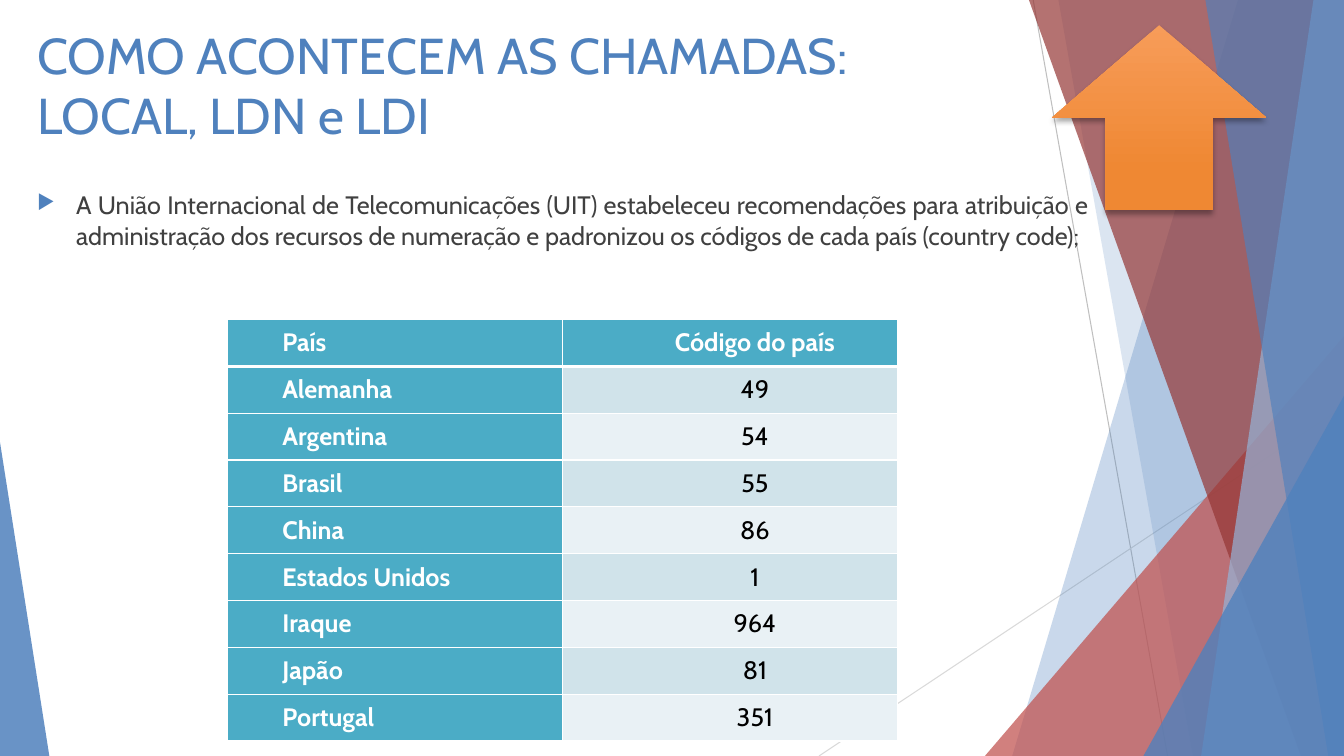
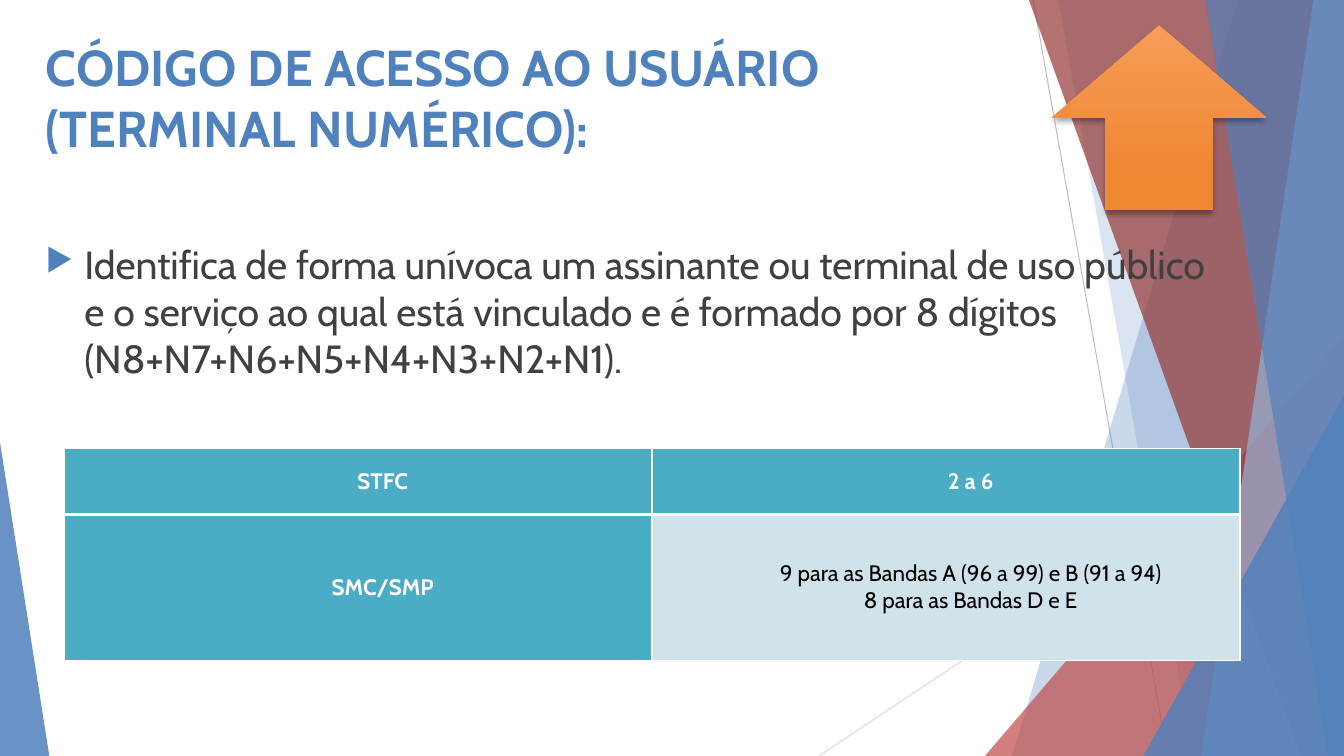
"""Build two slides on telephone country codes and user access codes."""
from dataclasses import dataclass
from typing import Optional

from lxml.etree import SubElement
from pptx import Presentation
from pptx.dml.color import RGBColor
from pptx.enum.shapes import MSO_CONNECTOR as Connector
from pptx.enum.shapes import MSO_SHAPE as Preset
from pptx.enum.text import MSO_ANCHOR as Anchor
from pptx.enum.text import MSO_AUTO_SIZE as AutoSize
from pptx.enum.text import PP_ALIGN as Align
from pptx.oxml.ns import qn
from pptx.slide import Slide
from pptx.util import Pt

PX = 9525
WIDTH, HEIGHT = 1280, 720
FONT = "Cabin"
BLUE, RED, DARK_RED, PALE_BLUE = "4F81BD", "C0504D", "953735", "95B3D7"
TEAL, WHITE, BLACK, TEXT_GREY = "4BACC6", "FFFFFF", "000000", "404040"
STRIPES = ("E9F1F5", "D0E3EA")
CELL_INDENT, CELL_MARGIN = 47, 5
BULLET_INDENT = 37
TITLE_WIDTH, TITLE_HEIGHT = 966, 158


@dataclass(frozen=True)
class Box:
    left: int
    top: int
    width: int
    height: int

    def emu(self) -> tuple[int, int, int, int]:
        return px(self.left), px(self.top), px(self.width), px(self.height)


@dataclass(frozen=True)
class Ray:
    start: tuple[int, int]
    end: tuple[int, int]
    color: str


@dataclass(frozen=True)
class Band:
    top_left: int
    bottom_left: int
    color: str
    opacity: int


@dataclass(frozen=True)
class Wedge:
    box: Box
    apex: float
    color: str
    opacity: int


@dataclass(frozen=True)
class Grid:
    box: Box
    header_height: int
    size: int
    label_align: Align
    rows: tuple[tuple[str, str], ...]


@dataclass(frozen=True)
class Page:
    title: str
    title_at: tuple[int, int]
    title_bold: bool
    body: str
    body_box: Box
    body_size: int
    body_align: Optional[Align]
    grid: Grid


RAYS = (
    Ray((984, 0), (1112, HEIGHT), "BFBFBF"),
    Ray((WIDTH, 387), (780, HEIGHT), "D9D9D9"),
)
FACETS = (
    Band(1179, 964, BLUE, 30),
    Band(1008, 1136, BLUE, 20),
    Wedge(Box(938, 320, 342, 400), 1, RED, 72),
    Band(980, 1239, DARK_RED, 70),
    Band(1251, 1144, PALE_BLUE, 70),
    Band(1148, 1265, BLUE, 65),
    Wedge(Box(1089, 377, 191, 343), 1, BLUE, 80),
    Wedge(Box(0, 421, 47, 299), 0, BLUE, 85),
)
ARROW = Box(1002, 24, 204, 176)

PAGES = (
    Page(
        "COMO ACONTECEM AS CHAMADAS:\nLOCAL, LDN e LDI", (26, 18), False,
        "A União Internacional de Telecomunicações (UIT) estabeleceu recomendações para "
        "atribuição e administração dos recursos de numeração e padronizou os códigos de "
        "cada país (country code);",
        Box(26, 176, 1020, 100), 18, Align.JUSTIFY,
        Grid(Box(217, 304, 638, 402), 45, 18, Align.LEFT, (
            ("País", "Código do país"),
            ("Alemanha", "49"),
            ("Argentina", "54"),
            ("Brasil", "55"),
            ("China", "86"),
            ("Estados Unidos", "1"),
            ("Iraque", "964"),
            ("Japão", "81"),
            ("Portugal", "351"),
        )),
    ),
    Page(
        "CÓDIGO DE ACESSO AO USUÁRIO (TERMINAL NUMÉRICO):", (34, 30), True,
        "Identifica de forma unívoca um assinante ou terminal de uso público e o serviço "
        "ao qual está vinculado e é formado por 8 dígitos (N8+N7+N6+N5+N4+N3+N2+N1).",
        Box(34, 224, 1137, 150), 28, None,
        Grid(Box(61, 427, 1120, 202), 63, 16, Align.CENTER, (
            ("STFC", "2 a 6"),
            ("SMC/SMP", "9 para as Bandas A (96 a 99) e B (91 a 94)\n8 para as Bandas D e E"),
        )),
    ),
)


def px(length: int) -> int:
    return length * PX


def rgb(color: str) -> RGBColor:
    return RGBColor.from_string(color)


def add_text(paragraph, text: str, size: int, color: str, bold: bool = False) -> None:
    run = paragraph.add_run()
    run.text = text
    run.font.name = FONT
    run.font.size = Pt(size)
    run.font.bold = bold
    run.font.color.rgb = rgb(color)


def paint(shape, color: str, opacity: int) -> None:
    shape.shadow.inherit = False
    shape.line.fill.background()
    shape.fill.solid()
    shape.fill.fore_color.rgb = rgb(color)
    color_element = shape.element.spPr.find(qn("a:solidFill"))[0]
    SubElement(color_element, qn("a:alpha"), val=str(opacity * 1000))


def add_ray(slide: Slide, ray: Ray):
    points = [px(value) for value in ray.start + ray.end]
    connector = slide.shapes.add_connector(Connector.STRAIGHT, *points)
    connector.line.color.rgb = rgb(ray.color)
    connector.line.width = Pt(0.75)
    SubElement(connector.element.spPr, qn("a:effectLst"))
    return connector


def add_facet(slide: Slide, facet: Band | Wedge):
    if isinstance(facet, Wedge):
        shape = slide.shapes.add_shape(Preset.ISOSCELES_TRIANGLE, *facet.box.emu())
        shape.adjustments[0] = facet.apex
    else:
        builder = slide.shapes.build_freeform(facet.top_left, 0, scale=PX)
        builder.add_line_segments(
            [(WIDTH, 0), (WIDTH, HEIGHT), (facet.bottom_left, HEIGHT)], close=True)
        shape = builder.convert_to_shape()
    paint(shape, facet.color, facet.opacity)
    return shape


def move_backdrop_to_layout(slide: Slide) -> None:
    backdrop = [add_ray(slide, ray) for ray in RAYS]
    backdrop += [add_facet(slide, facet) for facet in FACETS]
    layout_tree = slide.slide_layout.shapes.element
    for position, shape in enumerate(backdrop, start=2):
        layout_tree.insert(position, shape.element)


def add_title(slide: Slide, page: Page) -> None:
    title = slide.shapes.title
    title.left, title.top, title.width, title.height = Box(
        *page.title_at, TITLE_WIDTH, TITLE_HEIGHT).emu()
    frame = title.text_frame
    frame.word_wrap = True
    frame.auto_size = AutoSize.NONE
    frame.vertical_anchor = Anchor.TOP
    paragraph = frame.paragraphs[0]
    paragraph.alignment = Align.LEFT
    for number, line in enumerate(page.title.split("\n")):
        if number:
            paragraph.add_line_break()
        add_text(paragraph, line, 36, BLUE, page.title_bold)


def add_body(slide: Slide, page: Page) -> None:
    frame = slide.shapes.add_textbox(*page.body_box.emu()).text_frame
    frame.word_wrap = True
    paragraph = frame.paragraphs[0]
    paragraph.alignment = page.body_align
    properties = paragraph._p.get_or_add_pPr()
    properties.set("marL", str(px(BULLET_INDENT)))
    properties.set("indent", str(-px(BULLET_INDENT)))
    bullet_color = SubElement(properties, qn("a:buClr"))
    SubElement(bullet_color, qn("a:srgbClr"), val=BLUE)
    SubElement(properties, qn("a:buSzPct"), val="80000")
    SubElement(properties, qn("a:buChar"), char="▶")
    add_text(paragraph, page.body, page.body_size, TEXT_GREY)


def add_borders(cell, row: int) -> None:
    properties = cell._tc.get_or_add_tcPr()
    widths = {"lnL": 1, "lnR": 1, "lnT": 3 if row == 1 else 1, "lnB": 3 if row == 0 else 1}
    for side, width in widths.items():
        border = SubElement(properties, qn(f"a:{side}"), w=str(Pt(width)))
        fill = SubElement(border, qn("a:solidFill"))
        SubElement(fill, qn("a:srgbClr"), val=WHITE)


def fill_cell(cell, text: str, row: int, column: int, grid: Grid) -> None:
    heading = row == 0 or column == 0
    add_borders(cell, row)
    cell.fill.solid()
    cell.fill.fore_color.rgb = rgb(TEAL if heading else STRIPES[row % 2])
    cell.vertical_anchor = Anchor.MIDDLE
    cell.margin_left = cell.margin_right = px(CELL_MARGIN)
    cell.margin_top = cell.margin_bottom = px(CELL_MARGIN)
    frame = cell.text_frame
    for number, line in enumerate(text.split("\n")):
        paragraph = frame.add_paragraph() if number else frame.paragraphs[0]
        paragraph.alignment = Align.CENTER if column else grid.label_align
        properties = paragraph._p.get_or_add_pPr()
        properties.set("marL", "0")
        properties.set("indent", str(px(CELL_INDENT)))
        add_text(paragraph, line, grid.size, WHITE if heading else BLACK, heading)


def add_grid(slide: Slide, grid: Grid) -> None:
    row_count = len(grid.rows)
    table = slide.shapes.add_table(row_count, 2, *grid.box.emu()).table
    table.horz_banding = False
    row_height = px(grid.box.height - grid.header_height) // (row_count - 1)
    for row, texts in enumerate(grid.rows):
        table.rows[row].height = row_height if row else px(grid.header_height)
        for column, text in enumerate(texts):
            fill_cell(table.cell(row, column), text, row, column, grid)


def add_up_arrow(slide: Slide) -> None:
    arrow = slide.shapes.add_shape(Preset.UP_ARROW, *ARROW.emu())
    arrow.line.fill.background()
    arrow.fill.gradient()
    arrow.fill.gradient_angle = 270
    for stop, color, position in zip(
            arrow.fill.gradient_stops, ("F79C59", "EF8833"), (0, 0.78)):
        stop.color.rgb = rgb(color)
        stop.position = position
    arrow.shadow.inherit = False
    effects = arrow.element.spPr.find(qn("a:effectLst"))
    shadow = SubElement(effects, qn("a:outerShdw"), blurRad=str(Pt(4)), dist=str(Pt(3)),
                        dir="5400000", rotWithShape="0")
    shadow_color = SubElement(shadow, qn("a:srgbClr"), val=BLACK)
    SubElement(shadow_color, qn("a:alpha"), val="35000")


def main() -> None:
    presentation = Presentation()
    presentation.slide_width, presentation.slide_height = px(WIDTH), px(HEIGHT)
    title_only = presentation.slide_layouts[5]
    for number, page in enumerate(PAGES):
        slide = presentation.slides.add_slide(title_only)
        if number == 0:
            move_backdrop_to_layout(slide)
        add_title(slide, page)
        add_body(slide, page)
        add_grid(slide, page.grid)
        add_up_arrow(slide)
    presentation.save("out.pptx")


if __name__ == "__main__":
    main()
